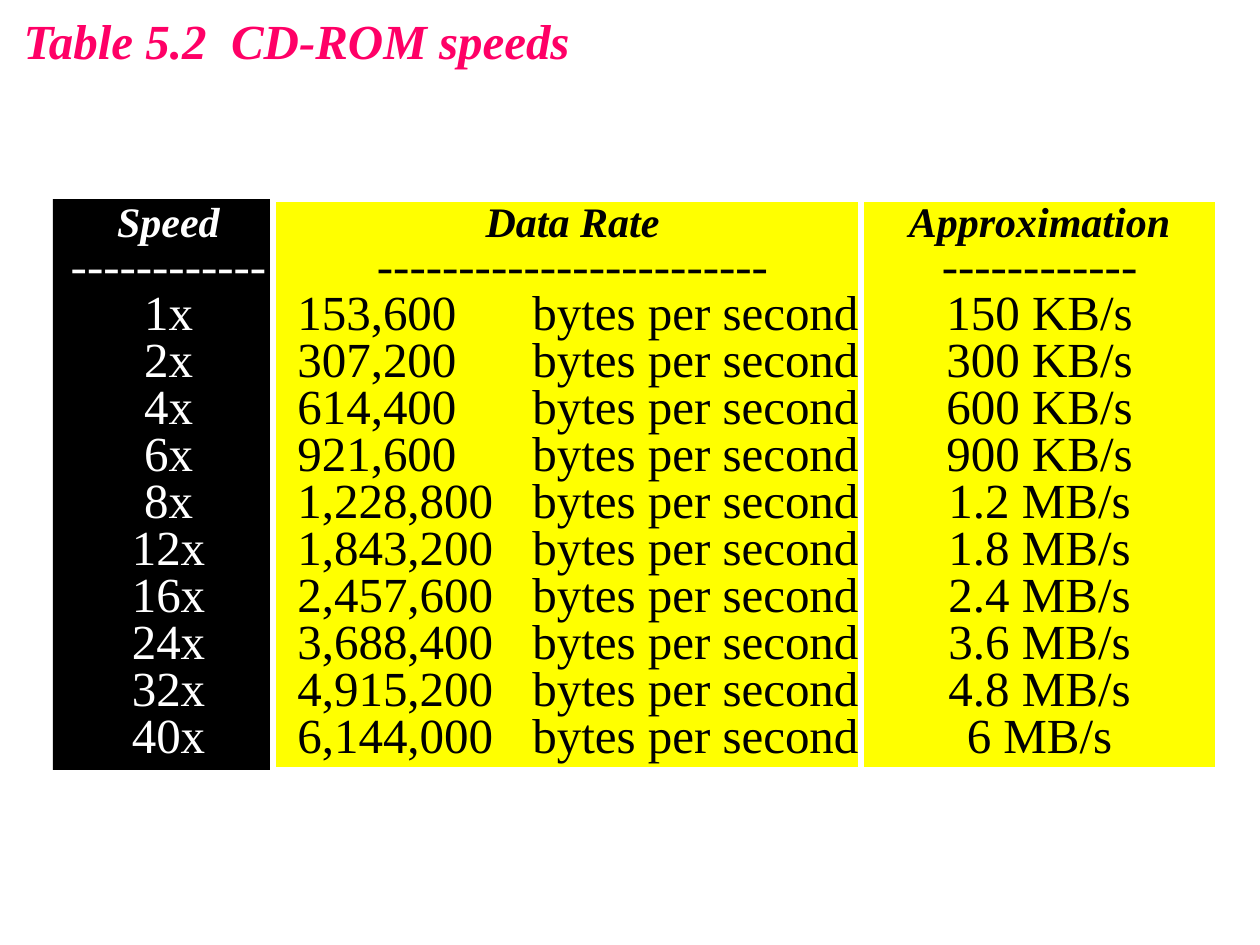
from pptx import Presentation, util as u
from pptx.dml.color import RGBColor
from pptx.enum import shapes, text
from lxml import etree

PX = 914400 / 126
NS = "{http://schemas.openxmlformats.org/drawingml/2006/main}"


def px(n):
    return u.Emu(round(n * PX))


def rgb(value):
    return RGBColor.from_string(value)


def apply(obj, formats):
    for name, value in formats.items():
        setattr(obj, name, value)


class Deck:
    FONT = "Times New Roman"
    HEADING = {"size": u.Pt(24), "bold": True, "italic": True}
    BODY = {"size": u.Pt(28), "bold": False, "italic": False}
    TITLE = {"size": u.Pt(28), "bold": True, "italic": True}
    FRAME = {"auto_size": text.MSO_AUTO_SIZE.NONE,
             "vertical_anchor": text.MSO_ANCHOR.TOP}

    def __init__(self, width, height):
        self.prs = Presentation()
        apply(self.prs, {"slide_width": px(width), "slide_height": px(height)})
        self.s = self.prs.slides.add_slide(self.prs.slide_layouts[5])

    def set_text(self, p, words, formats, color):
        p.text = words
        font = p.runs[0].font
        apply(font, {**formats, "name": self.FONT})
        font.color.rgb = rgb(color)

    def title(self, words, box, color):
        sp = self.s.shapes.title
        apply(sp, dict(zip(("left", "top", "width", "height"), map(px, box))))
        apply(sp.text_frame, {**self.FRAME, "word_wrap": False})
        p = sp.text_frame.paragraphs[0]
        p.alignment = text.PP_ALIGN.LEFT
        self.set_text(p, words, self.TITLE, color)

    def set_tab(self, p, indent, stop):
        """Left-align a row and start its second part at a tab stop."""
        p.alignment = text.PP_ALIGN.LEFT
        pPr = p._p.get_or_add_pPr()
        pPr.set("marL", str(px(indent)))
        tabs = etree.SubElement(pPr, NS + "tabLst")
        etree.SubElement(tabs, NS + "tab", pos=str(px(stop)), algn="l")

    def column(self, box, heading, dashes, rows, fill, color, line=None):
        sp = self.s.shapes.add_shape(shapes.MSO_SHAPE.RECTANGLE, *map(px, box))
        sp.shadow.inherit = False
        sp.fill.solid()
        sp.fill.fore_color.rgb = rgb(fill)
        if line:
            sp.line.color.rgb = rgb(line)
            sp.line.width = u.Pt(3)
        else:
            sp.line.fill.background()
        tf = sp.text_frame
        apply(tf, {**self.FRAME, "word_wrap": True})
        for i, words in enumerate([heading, "-" * dashes, *rows]):
            p = tf.add_paragraph() if i else tf.paragraphs[0]
            apply(p, {"alignment": text.PP_ALIGN.CENTER, "line_spacing": 0.8})
            if "\t" in words:
                self.set_tab(p, indent=12, stop=235)
            self.set_text(p, words, self.BODY if i else self.HEADING, color)


def main():
    speeds = [(1, "153,600", "150 KB/s"), (2, "307,200", "300 KB/s"),
              (4, "614,400", "600 KB/s"), (6, "921,600", "900 KB/s"),
              (8, "1,228,800", "1.2 MB/s"), (12, "1,843,200", "1.8 MB/s"),
              (16, "2,457,600", "2.4 MB/s"), (24, "3,688,400", "3.6 MB/s"),
              (32, "4,915,200", "4.8 MB/s"), (40, "6,144,000", "6 MB/s")]
    factors, rates, approximations = zip(*speeds)
    top, height = 199, 571

    deck = Deck(1260, 945)
    deck.title("Table 5.2  CD-ROM speeds", (11, 4, 576, 72), "FF0066")
    deck.column((53, top, 231, height), "Speed", 12,
                [f"{n}x" for n in factors], "000000", "FFFFFF")
    deck.column((273, top, 599, height), "Data Rate", 24,
                [f"{rate}\tbytes per second" for rate in rates],
                "FFFF00", "000000", "FFFFFF")
    deck.column((861, top, 357, height), "Approximation", 12,
                approximations, "FFFF00", "000000", "FFFFFF")
    deck.prs.save("out.pptx")


if __name__ == "__main__":
    main()
